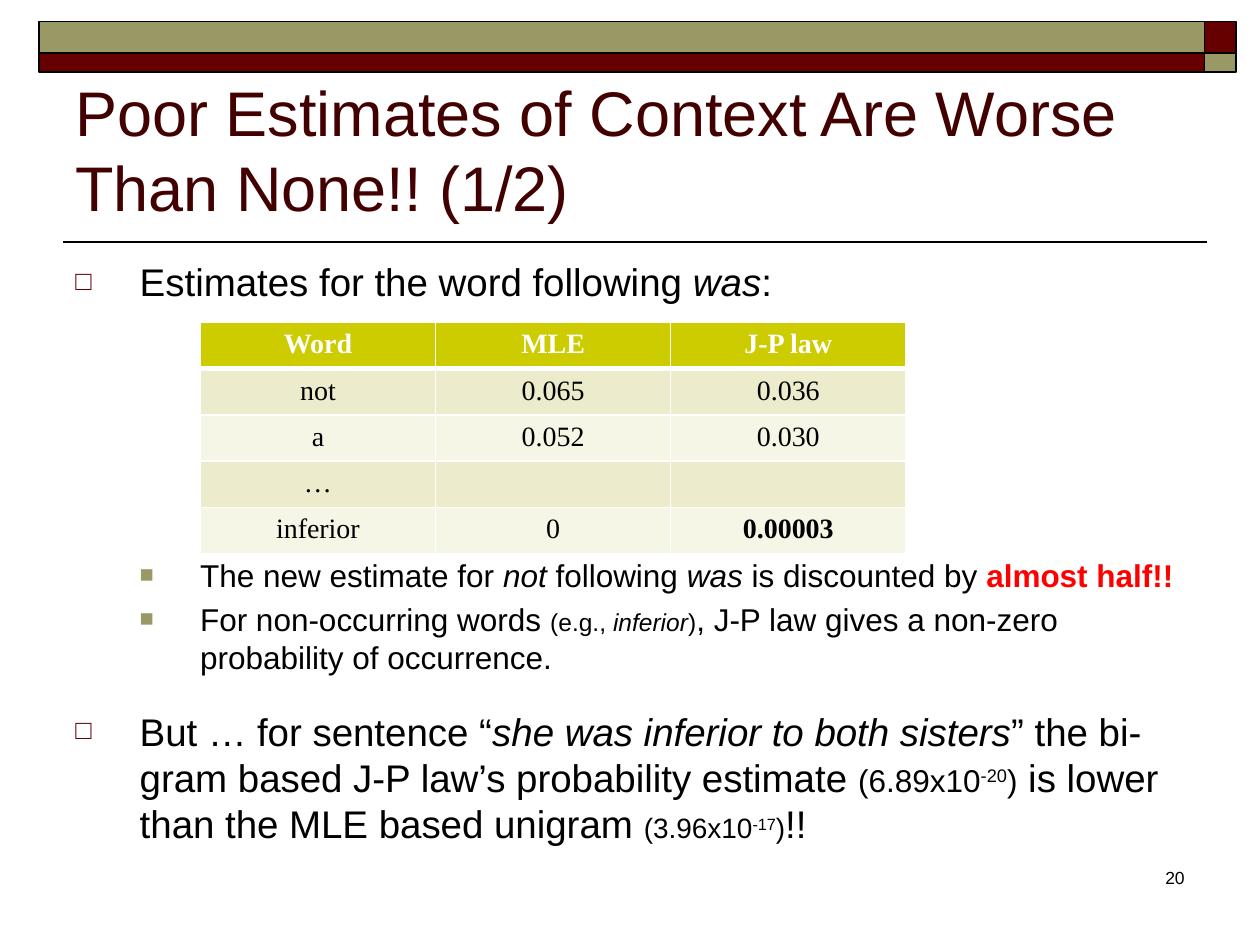
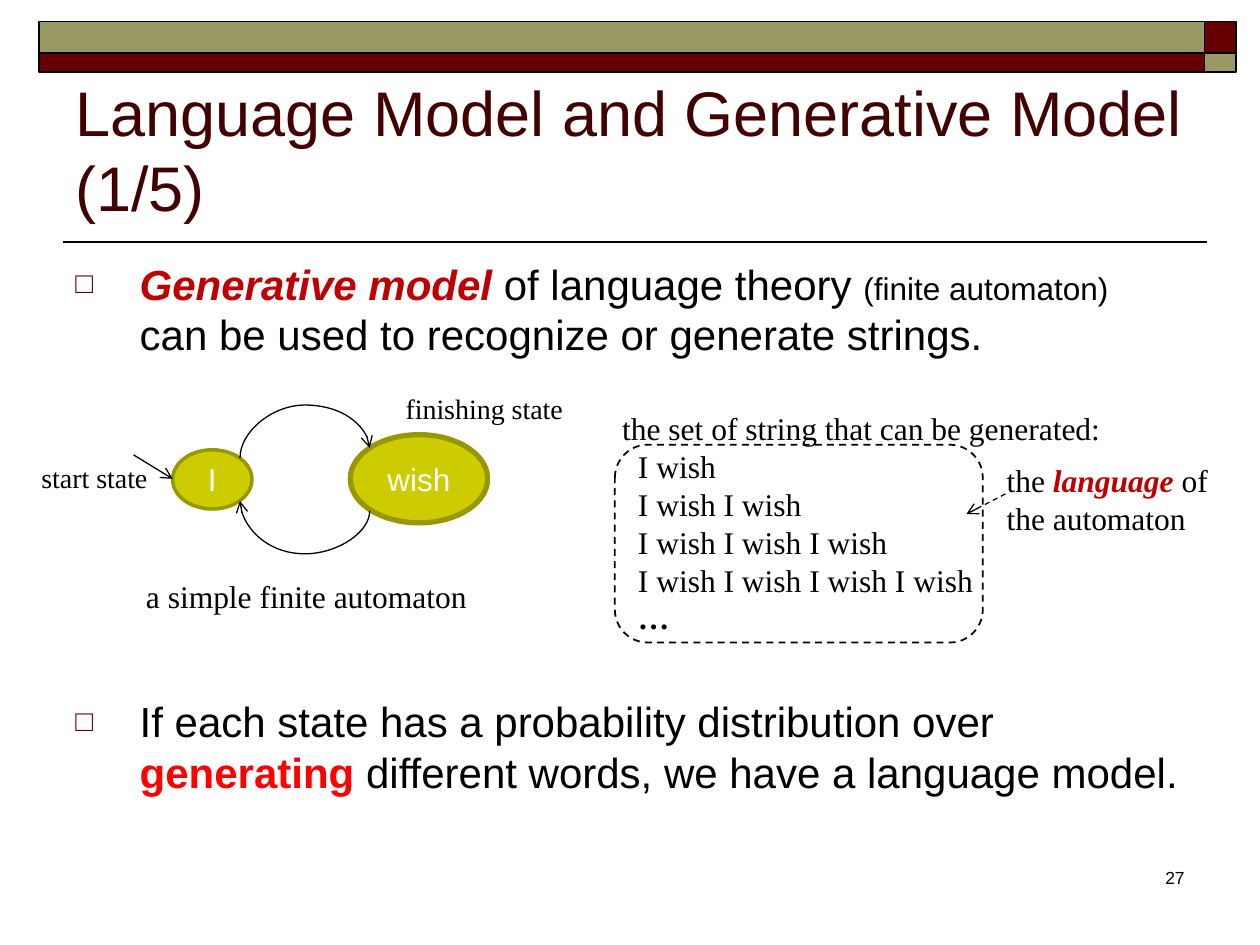
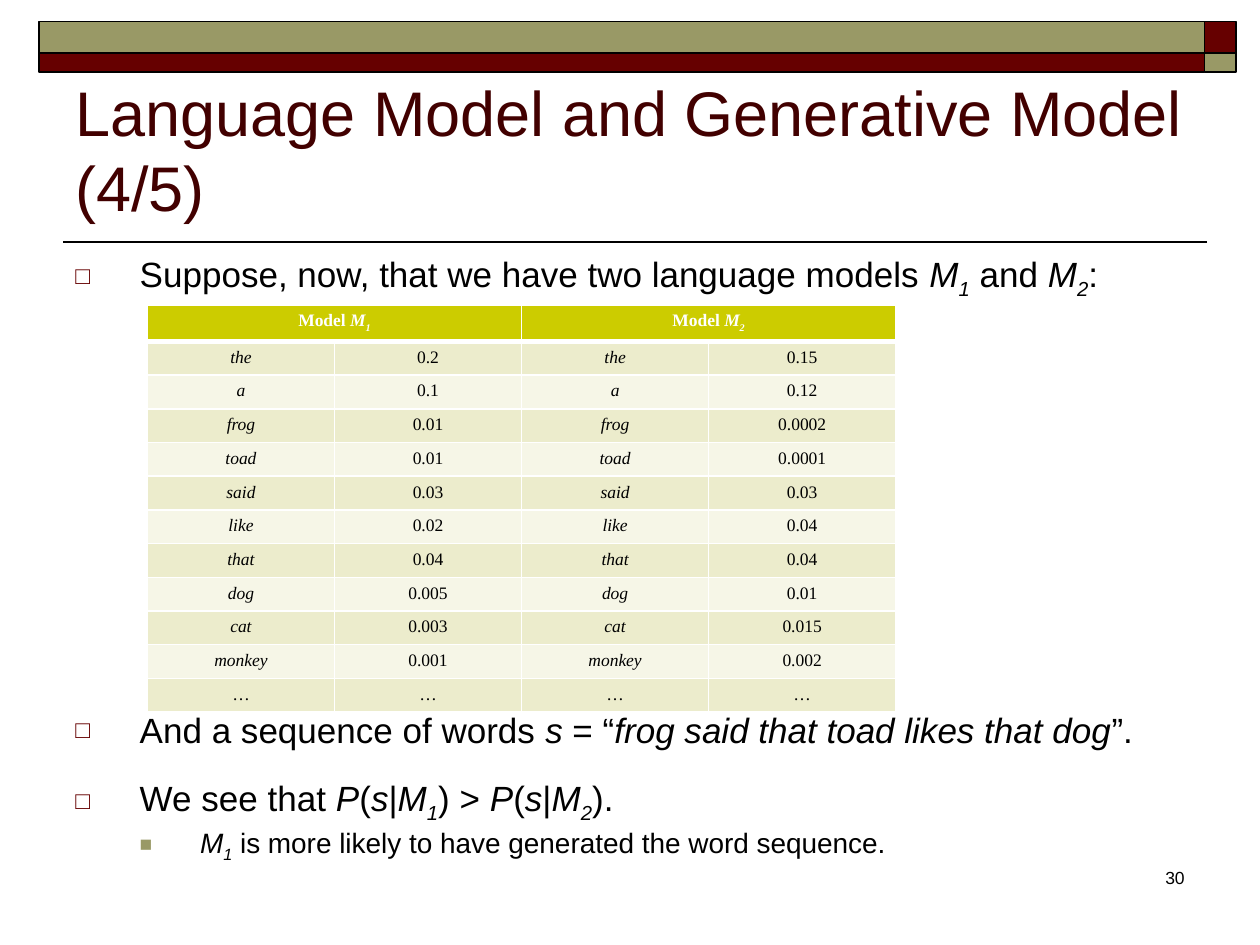
from dataclasses import dataclass

from lxml.etree import SubElement
from pptx import Presentation
from pptx.dml.color import RGBColor
from pptx.enum.dml import MSO_LINE
from pptx.enum.shapes import MSO_CONNECTOR, MSO_SHAPE
from pptx.enum.text import MSO_ANCHOR, MSO_AUTO_SIZE, PP_ALIGN
from pptx.oxml.ns import qn
from pptx.util import Pt


@dataclass(frozen=True)
class Theme:
    # Colours
    maroon: str = "660000"
    olive: str = "999966"
    title: str = "420000"
    ink: str = "000000"
    white: str = "FFFFFF"
    red: str = "FF0000"
    crimson: str = "C00000"
    lime: str = "CCCC00"
    lime_edge: str = "979700"
    row_dark: str = "ECECCC"
    row_light: str = "F6F6E7"
    # Type
    sans: str = "Arial"
    serif: str = "Times New Roman"
    title_size: int = 36
    label_size: int = 18
    small_label_size: int = 16
    number_size: int = 10
    leading: float = 1.2
    para_gap: float = 0.2


T = Theme()

# Run formats
ITALIC = {"italic": True}
SUB = {"italic": True, "baseline": -25}
ALERT = {"bold": True, "color": T.red}
TERM = {"bold": True, "italic": True, "color": T.crimson}

# Bullet levels: left margin, hanging indent, mark, colour, size in percent
BULLETS = [(36.8, -36.8, "□", T.maroon, 70), (71.3, -34.5, "■", T.olive, 75)]


def rgb(value):
    return RGBColor.from_string(value)


# Text

def add_runs(p, runs, **base):
    """Add runs to a paragraph; a run is a string or (string, format)."""
    for run in [runs] if isinstance(runs, str) else runs:
        text, extra = (run, {}) if isinstance(run, str) else run
        r = p.add_run()
        r.text = text
        fmt = {"name": T.sans, "color": T.ink, **base, **extra}
        r.font.color.rgb = rgb(fmt.pop("color"))
        baseline = fmt.pop("baseline", 0)
        if baseline:
            r.font._element.set("baseline", str(baseline * 1000))
        fmt["size"] = Pt(fmt["size"])
        for key, value in fmt.items():
            setattr(r.font, key, value)


def set_indent(p, margin, indent=0):
    pPr = p._p.get_or_add_pPr()
    for key, value in {"marL": margin, "indent": indent}.items():
        pPr.set(key, str(Pt(value)))
    return pPr


def add_bullet(p, level):
    margin, indent, mark, color, percent = BULLETS[level]
    p.level = level
    pPr = set_indent(p, margin, indent)
    SubElement(SubElement(pPr, qn("a:buClr")), qn("a:srgbClr"), val=color)
    SubElement(pPr, qn("a:buSzPct"), val=str(percent * 1000))
    SubElement(pPr, qn("a:buFont"), typeface=T.sans)
    SubElement(pPr, qn("a:buChar"), char=mark)


def new_paragraph(tf, first, size):
    p = tf.paragraphs[0] if first else tf.add_paragraph()
    p.line_spacing = Pt(T.leading * size)
    return p


def add_text(s, box, lines, size, wrap=True, anchor=MSO_ANCHOR.TOP,
             align=PP_ALIGN.LEFT, **base):
    tf = s.shapes.add_textbox(*map(Pt, box)).text_frame
    settings = {"word_wrap": wrap, "vertical_anchor": anchor}
    if not wrap:
        settings["auto_size"] = MSO_AUTO_SIZE.SHAPE_TO_FIT_TEXT
    for key, value in settings.items():
        setattr(tf, key, value)
    for i, runs in enumerate(lines):
        p = new_paragraph(tf, i == 0, size)
        p.alignment = align
        add_runs(p, runs, size=size, **base)
    return tf


def add_body(s, items):
    """Items are (level, size, extra space above, runs)."""
    tf = s.shapes.add_textbox(*map(Pt, (36, 144, 648, 338.4))).text_frame
    tf.word_wrap = True
    for i, (level, size, extra, runs) in enumerate(items):
        p = new_paragraph(tf, i == 0, size)
        if i:
            p.space_before = Pt(T.para_gap * size + extra)
        add_bullet(p, level)
        add_runs(p, runs, size=size)


def add_label(s, box, lines, size=T.label_size):
    return add_text(s, box, lines, size, wrap=False, name=T.serif)


# Shapes and lines

def add_box(s, kind, box, fill, line, width=1):
    sp = s.shapes.add_shape(kind, *map(Pt, box))
    sp.shadow.inherit = False
    if fill:
        sp.fill.solid()
        sp.fill.fore_color.rgb = rgb(fill)
    else:
        sp.fill.background()
    sp.line.color.rgb = rgb(line)
    sp.line.width = Pt(width)
    return sp


def add_state(s, box, text, width):
    sp = add_box(s, MSO_SHAPE.OVAL, box, T.lime, T.lime_edge, width)
    tf = sp.text_frame
    tf.vertical_anchor = MSO_ANCHOR.MIDDLE
    p = new_paragraph(tf, True, T.label_size)
    p.alignment = PP_ALIGN.CENTER
    add_runs(p, text, size=T.label_size, color=T.white)
    return sp


def add_line(s, ends, width=0.75, kind=MSO_CONNECTOR.STRAIGHT, arrow=True,
             dash=None):
    c = s.shapes.add_connector(kind, *map(Pt, ends))
    c.line.color.rgb = rgb(T.ink)
    c.line.width = Pt(width)
    if dash:
        c.line.dash_style = dash
    if arrow:
        SubElement(c.line._get_or_add_ln(), qn("a:tailEnd"), type="arrow")
    SubElement(c._element.spPr, qn("a:effectLst"))
    return c


def add_arc(s, box, flips, bend, start, end):
    """Curved arrow, turned a quarter; start and end are (shape, site)."""
    left, top, width, height = box
    c = add_line(s, (left, top, left + width, top + height),
                 kind=MSO_CONNECTOR.CURVE)
    xfrm = c._element.spPr.find(qn("a:xfrm"))
    xfrm.set("rot", str(90 * 60000))
    for flip in flips:
        xfrm.set(flip, "1")
    guides = c._element.spPr.find(qn("a:prstGeom")).find(qn("a:avLst"))
    SubElement(guides, qn("a:gd"), name="adj1", fmla=f"val {round(bend * 100000)}")
    links = c._element.find(qn("p:nvCxnSpPr")).find(qn("p:cNvCxnSpPr"))
    for tag, (sp, site) in {"a:stCxn": start, "a:endCxn": end}.items():
        SubElement(links, qn(tag), id=str(sp.shape_id), idx=str(site))


# Tables

def set_borders(cell, header):
    tcPr = cell._tc.get_or_add_tcPr()
    for side in "LRTB":
        width = 3 if header and side == "B" else 1
        ln = SubElement(tcPr, qn(f"a:ln{side}"), w=str(Pt(width)))
        fill = SubElement(ln, qn("a:solidFill"))
        SubElement(fill, qn("a:srgbClr"), val=T.white)


def add_grid(s, origin, col_width, row_height, size, rows, span=1):
    """Table with a header row whose cells cover span columns each."""
    n_rows, n_cols = len(rows), len(rows[1])
    box = (*origin, n_cols * col_width, n_rows * row_height)
    table = s.shapes.add_table(n_rows, n_cols, *map(Pt, box)).table
    table.horz_banding = False
    for col in table.columns:
        col.width = Pt(col_width)
    for row in table.rows:
        row.height = Pt(row_height)
    for i, row in enumerate(rows):
        header = i == 0
        step = span if header else 1
        fill = T.lime if header else (T.row_light, T.row_dark)[i % 2]
        for j in range(n_cols):
            cell = table.cell(i, j)
            set_borders(cell, header)
            cell.fill.solid()
            cell.fill.fore_color.rgb = rgb(fill)
        for j, runs in enumerate(row):
            cell = table.cell(i, j * step)
            if step > 1:
                cell.merge(table.cell(i, j * step + step - 1))
            p = cell.text_frame.paragraphs[0]
            p.alignment = PP_ALIGN.CENTER
            if runs:
                add_runs(p, runs, size=size, name=T.serif, bold=header,
                         color=T.white if header else T.ink)
            else:
                end = SubElement(p._p, qn("a:endParaRPr"))
                end.set("sz", str(size * 100))


# Slide frame: bands, title, rule, number

def add_slide(prs, title, number):
    s = prs.slides.add_slide(prs.slide_layouts[6])
    add_line(s, (689.76, 138.24, 36, 138.24), 1, arrow=False)
    left, corner_left, corner = 22.32, 688.32, 18
    for top, height, band, end in ((12.24, 18, T.olive, T.maroon),
                                   (30.24, 10.8, T.maroon, T.olive)):
        for x, width, fill in ((left, corner_left - left, band),
                               (corner_left, corner, end)):
            add_box(s, MSO_SHAPE.RECTANGLE, (x, top, width, height), fill, T.ink)
    add_text(s, (36, 41.76, 648, 90), [title], T.title_size,
             anchor=MSO_ANCHOR.BOTTOM, color=T.title)
    add_text(s, (534.24, 491.76, 149.76, 36), [str(number)], T.number_size,
             align=PP_ALIGN.RIGHT)
    return s


# Slides

def estimates_slide(prs):
    s = add_slide(prs, "Poor Estimates of Context Are Worse Than None!! (1/2)", 20)
    small, medium = {"size": 14}, {"size": 18}
    add_body(s, [
        (0, 22, 0, ["Estimates for the word following ", ("was", ITALIC), ":"]),
        (1, 18, 140, ["The new estimate for ", ("not", ITALIC), " following ",
                      ("was", ITALIC), " is discounted by ",
                      ("almost half!!", ALERT)]),
        (1, 18, 0, ["For non-occurring words ", ("(e.g., ", small),
                    ("inferior", {**small, **ITALIC}), (")", small),
                    ", J-P law gives a non-zero probability of occurrence."]),
        (0, 22, 14, ["But … for sentence “",
                     ("she was inferior to both sisters", ITALIC),
                     "” the bi-gram based J-P law’s probability estimate ",
                     ("(6.89x10", medium), ("-20", {**medium, "baseline": 30}),
                     (")", medium), " is lower than the MLE based unigram ",
                     ("(3.96x10", {"size": 16}),
                     ("-17", {"size": 16, "baseline": 30}),
                     (")", {"size": 16}), "!!"]),
    ])
    add_grid(s, (114.48, 184.32), 134.4, 25, 16, [
        ["Word", "MLE", "J-P law"],
        ["not", "0.065", "0.036"],
        ["a", "0.052", "0.030"],
        ["…", "", ""],
        ["inferior", "0", [("0.00003", {"bold": True})]],
    ])


def automaton_slide(prs):
    s = add_slide(prs, "Language Model and Generative Model (1/5)", 27)
    add_body(s, [
        (0, 24, 0, [("Generative model", TERM), " of language theory ",
                    ("(finite automaton)", {"size": 18}),
                    " can be used to recognize or generate strings."]),
        (0, 24, 187.6, ["If each state has a probability distribution over ",
                        ("generating", ALERT),
                        " different words, we have a language model."]),
    ])
    # States and transitions
    start = add_state(s, (98.64, 257.04, 45.36, 33.84), "I", 2)
    finish = add_state(s, (200.16, 248.4, 78.48, 50.4), "wish", 3)
    add_line(s, (76.32, 259.92, 98.64, 273.6))
    add_arc(s, (171.36, 221.76, 5.76, 74.16), ("flipH", "flipV"), 5.26,
            (start, 7), (finish, 1))
    add_arc(s, (171.36, 252, 5.76, 74.16), ("flipH",), -4.26,
            (finish, 3), (start, 5))
    add_label(s, (76.32, 326.16, 200.16, 28.8), ["a simple finite automaton"])
    add_label(s, (16.56, 259.92, 76.32, 26.64), ["start state"], T.small_label_size)
    add_label(s, (224.64, 220.32, 109.44, 26.64), ["finishing state"],
              T.small_label_size)
    # Generated strings
    strings = [" ".join(["I wish"] * n) for n in range(1, 5)]
    tf = add_label(s, (348.48, 230.4, 290.88, 138.24),
                   ["the set of string that can be generated:", *strings,
                    [("…", {"bold": True})]])
    for p in tf.paragraphs[1:]:
        set_indent(p, 9)
    frame = add_box(s, MSO_SHAPE.ROUNDED_RECTANGLE,
                    (351.36, 254.16, 210.24, 113.04), None, T.ink)
    frame.line.dash_style = MSO_LINE.DASH
    add_label(s, (568.08, 259.92, 135.36, 51.12),
              [["the ", ("language", TERM), " of "], "the automaton"])
    add_line(s, (574.56, 282.24, 552.24, 293.76), dash=MSO_LINE.DASH)


def models_slide(prs):
    s = add_slide(prs, "Language Model and Generative Model (4/5)", 30)

    def model(n):
        return [("M", ITALIC), (str(n), SUB)]

    def likelihood(n):
        return [("P", ITALIC), "(", ("s", ITALIC), "|", *model(n)]

    add_body(s, [
        (0, 20, 0, ["Suppose, now, that we have two language models ",
                    *model(1), " and ", *model(2), ":"]),
        (0, 20, 229.6, ["And a sequence of words ", ("s", ITALIC), " = “",
                        ("frog said that toad likes that dog", ITALIC), "”."]),
        (0, 20, 14, ["We see that ", *likelihood(1), ") > ",
                     *likelihood(2), ")."]),
        (1, 16, 0, [*model(1),
                    " is more likely to have generated the word sequence."]),
    ])
    probabilities = [
        ("the", "0.2", "0.15"), ("a", "0.1", "0.12"),
        ("frog", "0.01", "0.0002"), ("toad", "0.01", "0.0001"),
        ("said", "0.03", "0.03"), ("like", "0.02", "0.04"),
        ("that", "0.04", "0.04"), ("dog", "0.005", "0.01"),
        ("cat", "0.003", "0.015"), ("monkey", "0.001", "0.002"),
    ]
    rows = [[["Model ", *model(n)] for n in (1, 2)]]
    for word, first, second in probabilities:
        rows.append([[(word, ITALIC)], first, [(word, ITALIC)], second])
    rows.append(["…"] * 4)
    add_grid(s, (84.24, 174.24), 106.9, 18.3, 10, rows, span=2)


def main():
    prs = Presentation()
    prs.slide_width, prs.slide_height = Pt(720), Pt(540)
    estimates_slide(prs)
    automaton_slide(prs)
    models_slide(prs)
    prs.save("out.pptx")


main()
